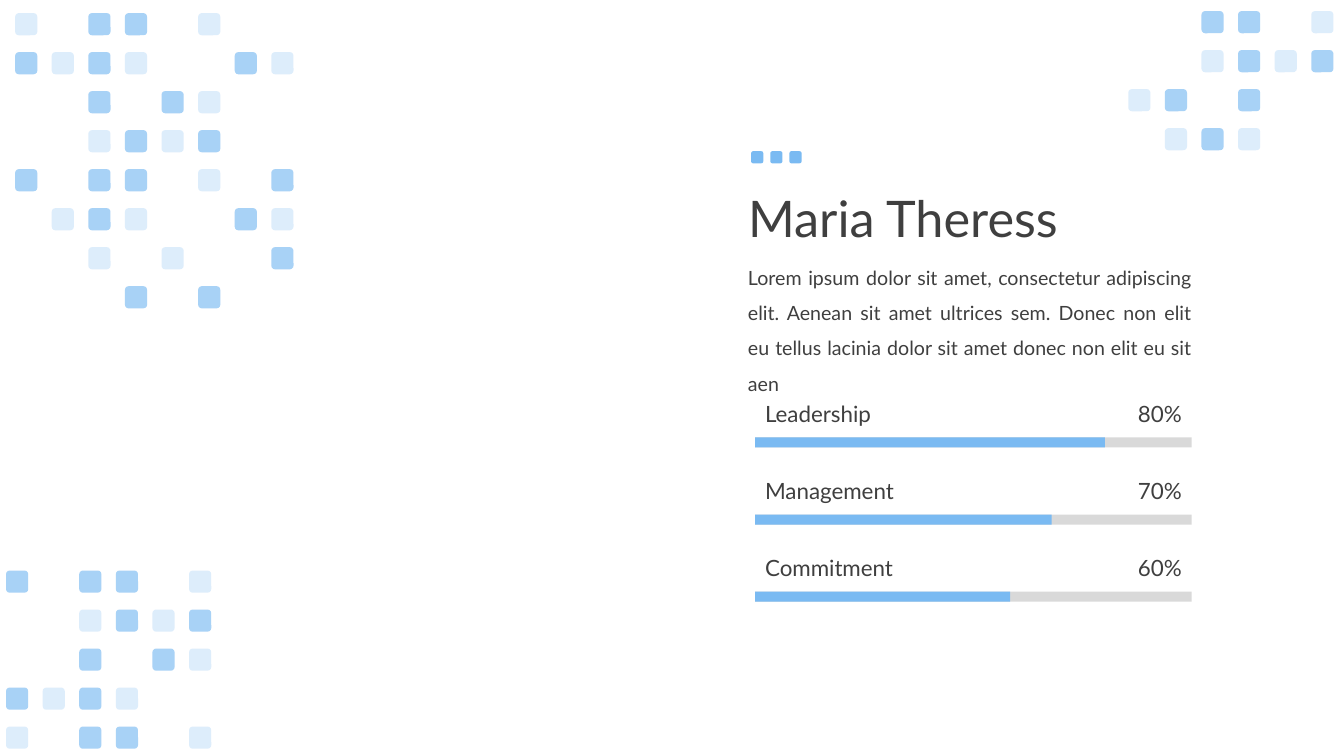
from lxml.etree import SubElement
from pptx import Presentation
from pptx.dml.color import RGBColor
from pptx.enum.shapes import MSO_SHAPE
from pptx.enum.text import MSO_ANCHOR, MSO_AUTO_SIZE, PP_ALIGN
from pptx.oxml.ns import qn
from pptx.util import Inches, Pt

HUES = {"blue": "7ABAF2", "grey": "D9D9D9", "ink": "3F3F3F"}
ALPHA = {"#": 65, "o": 25}

deck = Presentation()
deck.slide_width, deck.slide_height = Inches(13.33), Inches(7.5)
slide = deck.slides.add_slide(deck.slide_layouts[5])


def block(host, kind, x, y, w, h, hue="blue", alpha=100):
    """Add a filled shape without an outline to a slide or group."""
    shape = host.shapes.add_shape(kind, Inches(x), Inches(y), Inches(w), Inches(h))
    shape.shadow.inherit = False
    shape.line.fill.background()
    shape.fill.solid()
    shape.fill.fore_color.rgb = RGBColor.from_string(HUES[hue])
    if alpha < 100:
        color = shape.fill._xPr.find(".//" + qn("a:srgbClr"))
        SubElement(color, qn("a:alpha"), val=str(alpha * 1000))


def write(text, at, size=16, align=PP_ALIGN.LEFT, anchor=MSO_ANCHOR.MIDDLE,
          lead=1.0, fit=MSO_AUTO_SIZE.SHAPE_TO_FIT_TEXT, shape=None):
    """Put text in the given shape, or in a new text box."""
    spot = [Inches(n) for n in at]
    shape = shape or slide.shapes.add_textbox(*spot)
    shape.left, shape.top, shape.width, shape.height = spot
    frame = shape.text_frame
    frame.text = text
    frame.word_wrap = True
    frame.auto_size = fit
    frame.vertical_anchor = anchor
    line = frame.paragraphs[0]
    line.alignment = align
    line.line_spacing = lead
    font = line.runs[0].font
    font.name, font.size = "Lato", Pt(size)
    font.color.rgb = RGBColor.from_string(HUES["ink"])


# Corner mosaics: "#" is a strong tile, "o" a pale one
TILE, COL, ROW = 0.22, 0.363, 0.387
mosaics = [
    (0.06, 5.66, ["#.##.o", "..o#o#", "..#.#o", "#o#o..", "o.##.o"]),
    (0.15, 0.13, ["o.##.o..", "#o#o..#o", "..#.#o..", "..o#o#..",
                  "#.##.o.#", ".o#o..#o", "..o.o..#", "...#.#.."]),
    (11.19, 0.11, ["..##.o", "..o#o#", "o#.#..", ".o#o.."]),
]
for left, top, rows in mosaics:
    group = slide.shapes.add_group_shape()
    for r, row in enumerate(rows):
        for c, mark in enumerate(row):
            if mark in ALPHA:
                block(group, MSO_SHAPE.ROUNDED_RECTANGLE, left + c * COL,
                      top + r * ROW, TILE, TILE, alpha=ALPHA[mark])

# Name and profile
dots = slide.shapes.add_group_shape()
for i in range(3):
    block(dots, MSO_SHAPE.ROUNDED_RECTANGLE, 7.45 + i * 0.19, 1.5, 0.12, 0.12)
write("Maria Theress", (7.32, 1.47, 11.5, 1.45), size=36, lead=0.9,
      fit=MSO_AUTO_SIZE.NONE, shape=slide.shapes.title)
write("Lorem ipsum dolor sit amet, consectetur adipiscing elit. Aenean sit amet "
      "ultrices sem. Donec non elit eu tellus lacinia dolor sit amet donec non "
      "elit eu sit aen", (7.32, 2.47, 4.6, 1.11), size=14, lead=1.5,
      align=PP_ALIGN.JUSTIFY, anchor=MSO_ANCHOR.TOP)

# Skill bars: label, shown value, drawn length
BAR = 4.33
skills = [("Leadership", "80%", 3.47), ("Management", "70%", 2.94),
          ("Commitment", "60%", 2.53)]
for i, (skill, share, length) in enumerate(skills):
    top = 3.92 + i * 0.765
    for wide, hue in ((BAR, "grey"), (length, "blue")):
        block(slide, MSO_SHAPE.RECTANGLE, 7.49, top + 0.42, wide, 0.1, hue)
    write(skill, (7.49, top, 2.07, 0.37))
    write(share, (10.76, top, 1.06, 0.37), align=PP_ALIGN.RIGHT)

deck.save("out.pptx")
